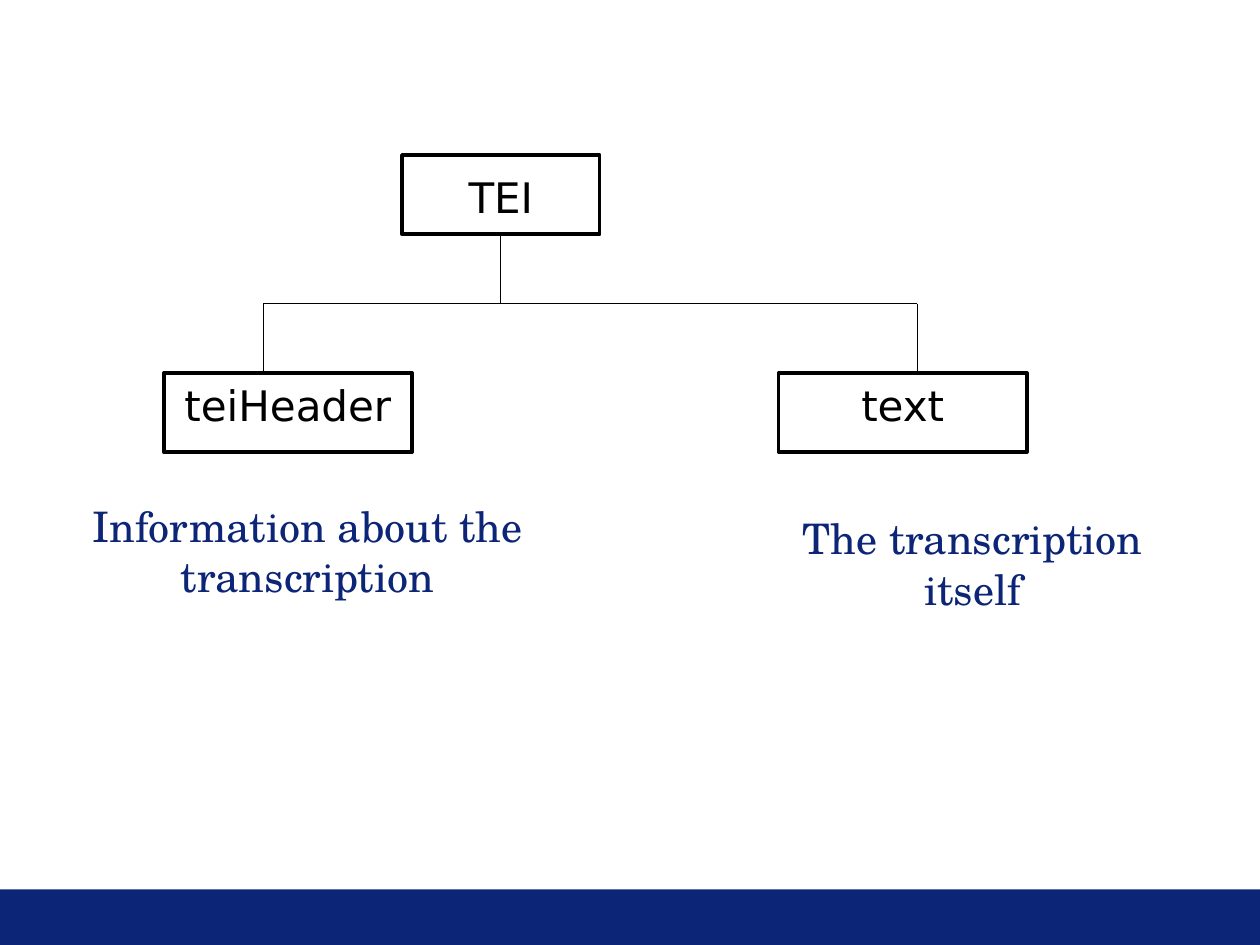
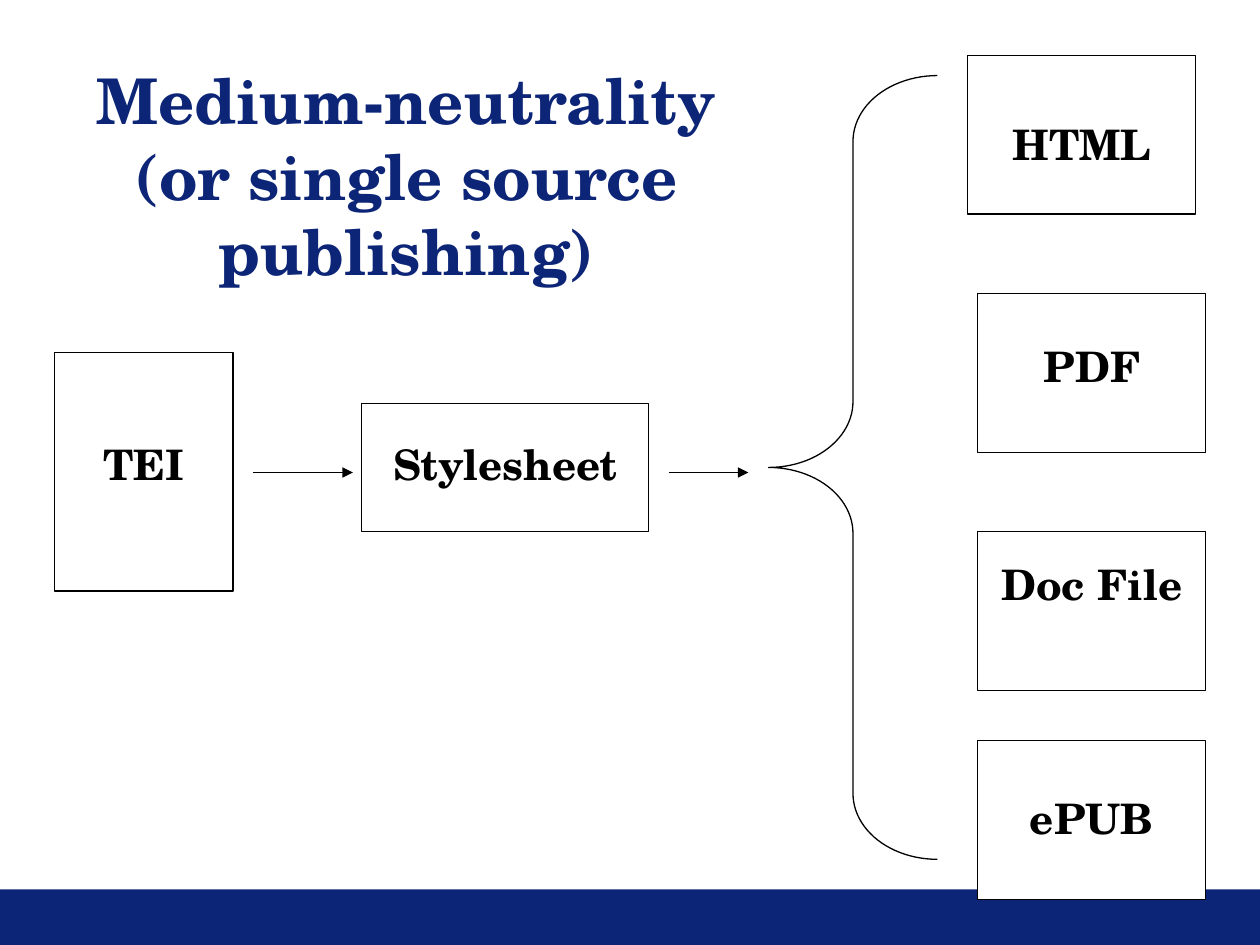
"""Build two slides: the TEI document tree and single source publishing."""
from typing import NamedTuple

from lxml.etree import SubElement
from pptx import Presentation
from pptx.dml.color import RGBColor
from pptx.enum.shapes import MSO_CONNECTOR as Line, MSO_SHAPE as Shape
from pptx.enum.text import MSO_ANCHOR as Anchor, PP_ALIGN as Align
from pptx.oxml.ns import qn
from pptx.shapes.autoshape import Shape as AutoShape
from pptx.shapes.connector import Connector
from pptx.slide import Slide
from pptx.text.text import TextFrame
from pptx.util import Inches, Pt

NAVY = RGBColor(0x0C, 0x25, 0x77)
BLACK = RGBColor(0, 0, 0)
WHITE = RGBColor(0xFF, 0xFF, 0xFF)
SANS = "DejaVu Sans"
SERIF = "TeX Gyre Schola"
THIN = 0.75


class TextStyle(NamedTuple):
    font: str
    color: RGBColor
    size: int = 24
    bold: bool = False


class Box(NamedTuple):
    text: str
    left: float
    top: float
    width: float
    height: float
    text_offset: float = 0


class Segment(NamedTuple):
    x1: float
    y1: float
    x2: float
    y2: float


NODE = TextStyle(SANS, BLACK)
STAGE = TextStyle(SERIF, BLACK, bold=True)
CAPTION = TextStyle(SERIF, NAVY)
TITLE = TextStyle(SERIF, NAVY, size=36, bold=True)

BRANCH_Y, CHILD_Y = 2.41, 2.96
HEADER_X, TEXT_X = 2.09, 7.28
ROOT = Box("TEI", 3.19, 1.23, 1.57, 0.63, 0.08)
CHILDREN = [Box(name, left, CHILD_Y, 1.97, 0.63)
            for name, left in (("teiHeader", 1.3), ("text", 6.18))]
BRANCHES = [
    Segment(HEADER_X, BRANCH_Y, TEXT_X, BRANCH_Y),
    Segment(HEADER_X, BRANCH_Y, HEADER_X, CHILD_Y),
    Segment(TEXT_X, BRANCH_Y, TEXT_X, CHILD_Y),
]
CAPTIONS = [
    Box("Information about the transcription", 0.59, 3.92, 3.7, 0.91),
    Box("The transcription itself", 5.87, 4.02, 3.7, 0.91),
]

HEADING = Box("Medium-neutrality (or single source publishing)",
              0.35, 0.44, 5.75, 1.92)
STAGES = [
    Box("TEI", 0.43, 2.8, 1.42, 1.89, 0.63),
    Box("Stylesheet", 2.87, 3.2, 2.28, 1.02, 0.23),
]
OUTPUTS = [Box(name, left, top, 1.81, 1.26, offset)
           for name, left, top, offset in (
               ("HTML", 7.68, 0.44, 0.45),
               ("PDF", 7.76, 2.33, 0.32),
               ("Doc File", 7.76, 4.22, 0.16),
               ("ePUB", 7.76, 5.88, 0.36))]
ARROWS = [Segment(2.01, 3.75, 2.8, 3.75), Segment(5.31, 3.75, 5.94, 3.75)]


def write(frame: TextFrame, text: str, style: TextStyle, offset: float = 0) -> None:
    """Write centred text, starting the given distance below the frame's top."""
    frame.word_wrap = True
    frame.vertical_anchor = Anchor.TOP
    frame.margin_top = Inches(offset + 0.05)
    paragraph = frame.paragraphs[0]
    paragraph.text = text
    paragraph.alignment = Align.CENTER
    font = paragraph.font
    font.name, font.size, font.bold = style.font, Pt(style.size), style.bold
    font.color.rgb = style.color


def add_outline(slide: Slide, preset: Shape, box: Box, weight: float) -> AutoShape:
    """Draw a black-lined preset shape without fill or shadow."""
    shape = slide.shapes.add_shape(preset, *map(Inches, box[1:5]))
    shape.shadow.inherit = False
    shape.fill.background()
    shape.line.color.rgb = BLACK
    shape.line.width = Pt(weight)
    return shape


def add_box(slide: Slide, box: Box, style: TextStyle, weight: float) -> AutoShape:
    """Draw a white labelled rectangle."""
    shape = add_outline(slide, Shape.RECTANGLE, box, weight)
    shape.fill.solid()
    shape.fill.fore_color.rgb = WHITE
    write(shape.text_frame, box.text, style, box.text_offset)
    return shape


def add_text(slide: Slide, box: Box, style: TextStyle) -> None:
    """Place free-standing text."""
    label = slide.shapes.add_textbox(*map(Inches, box[1:5]))
    write(label.text_frame, box.text, style)


def add_line(slide: Slide, segment: Segment, arrow: bool = False) -> Connector:
    """Draw a thin straight line, with an arrowhead at its end if asked."""
    line = slide.shapes.add_connector(Line.STRAIGHT, *map(Inches, segment))
    line.line.color.rgb = BLACK
    line.line.width = Pt(THIN)
    if arrow:
        SubElement(line.line._get_or_add_ln(), qn("a:tailEnd"), type="triangle")
    SubElement(line._element.spPr, qn("a:effectLst"))
    return line


def add_slide(deck: Presentation) -> Slide:
    """Add a blank slide with the navy footer band."""
    slide = deck.slides.add_slide(deck.slide_layouts[6])
    band = slide.shapes.add_shape(
        Shape.RECTANGLE, 0, Inches(7.06), deck.slide_width, Inches(0.44))
    band.shadow.inherit = False
    band.fill.solid()
    band.fill.fore_color.rgb = NAVY
    band.line.fill.background()
    return slide


def build_tree(slide: Slide) -> None:
    """Draw the TEI root, its two children and their captions."""
    root = add_box(slide, ROOT, NODE, 2)
    for child in CHILDREN:
        add_box(slide, child, NODE, 2)
    for branch in BRANCHES:
        add_line(slide, branch)
    root_x = ROOT.left + ROOT.width / 2
    trunk = add_line(slide, Segment(root_x, ROOT.top + ROOT.height, root_x, BRANCH_Y))
    trunk.begin_connect(root, 2)
    for caption in CAPTIONS:
        add_text(slide, caption, CAPTION)


def build_publishing(slide: Slide) -> None:
    """Draw the flow from one source to several output formats."""
    add_text(slide, HEADING, TITLE)
    for box in STAGES + OUTPUTS:
        add_box(slide, box, STAGE, THIN)
    brace = add_outline(slide, Shape.LEFT_BRACE, Box("", 6.1, 0.6, 1.34, 6.22), THIN)
    brace.adjustments[0] = 0.39
    brace.adjustments[1] = 0.5
    for arrow in ARROWS:
        add_line(slide, arrow, arrow=True)


def main() -> None:
    """Build and save the presentation."""
    deck = Presentation()
    deck.slide_width, deck.slide_height = Inches(10), Inches(7.5)
    build_tree(add_slide(deck))
    build_publishing(add_slide(deck))
    deck.save("out.pptx")


if __name__ == "__main__":
    main()
